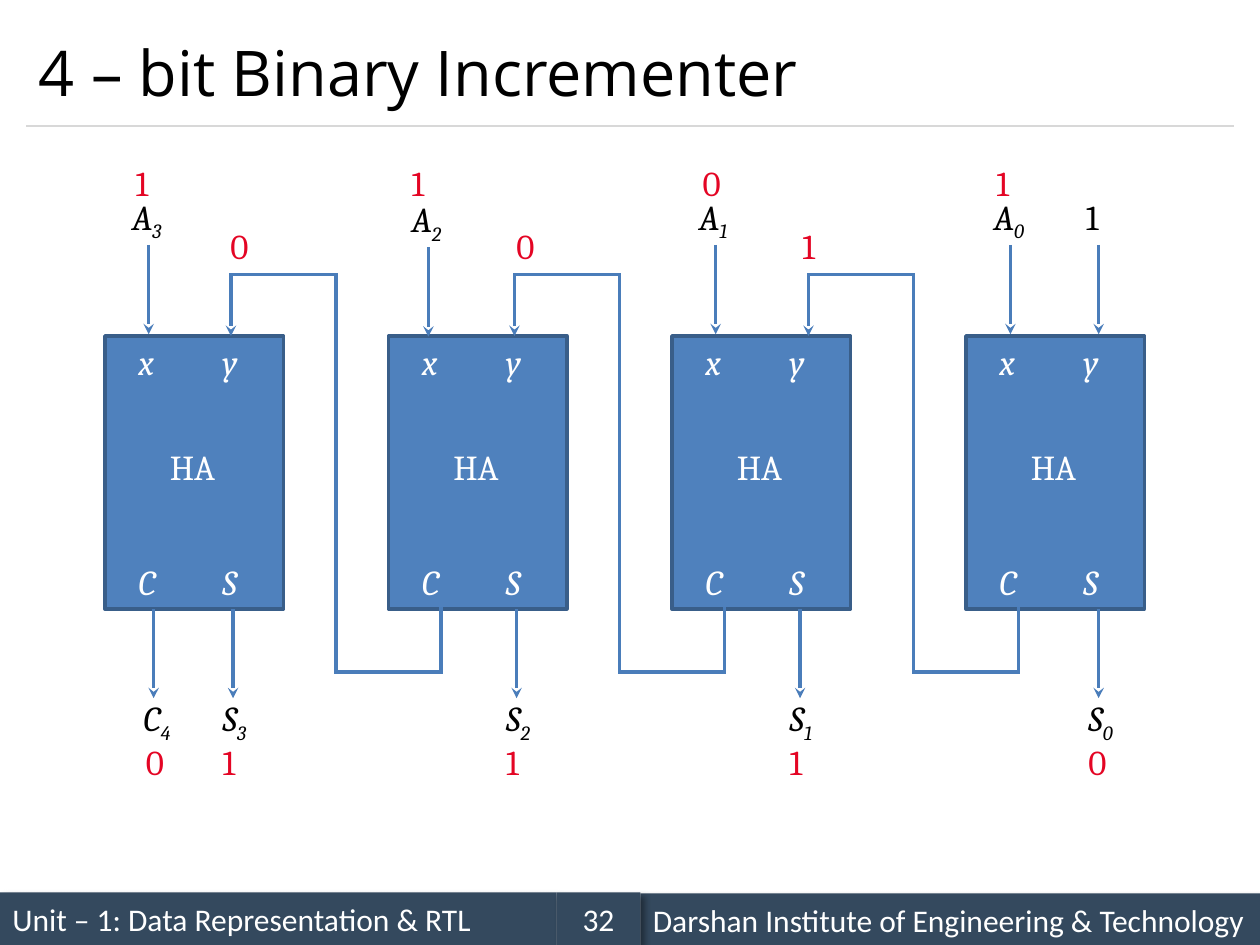
from dataclasses import dataclass
from itertools import pairwise

from lxml import etree
from pptx import Presentation
from pptx.dml.color import RGBColor
from pptx.enum.shapes import MSO_CONNECTOR, MSO_SHAPE
from pptx.enum.text import MSO_ANCHOR, PP_ALIGN
from pptx.oxml import parse_xml
from pptx.oxml.ns import nsdecls, qn
from pptx.util import Pt

STRAIGHT = MSO_CONNECTOR.STRAIGHT
RECTANGLE = MSO_SHAPE.RECTANGLE
MIDDLE = MSO_ANCHOR.MIDDLE
LEFT, CENTER = PP_ALIGN.LEFT, PP_ALIGN.CENTER


@dataclass(frozen=True)
class Theme:
    black: str = "000000"
    white: str = "FFFFFF"
    value: str = "E40524"
    block: str = "4F81BD"
    border: str = "395E89"
    wire: str = "4A7DBA"
    rule: str = "D8D8D8"
    footer: str = "34495E"
    title_font: str = "Open Sans"
    footer_font: str = "Calibri"
    diagram_font: str = "Cambria"
    title_size: int = 36
    footer_size: int = 18
    diagram_size: int = 20


THEME = Theme()

TITLE = "4 – bit Binary Incrementer"

# text, left, top, width, alignment
FOOTERS = [
    ("Unit – 1: Data Representation & RTL", 0, 510, 318, LEFT),
    ("Darshan Institute of Engineering & Technology", 366, 510.5, 354, LEFT),
    ("32", 318, 510, 48, CENTER),
]

# One half adder per bit. The x positions count from the left edge of its block.
STAGES = [
    dict(bit="3", left=60, input="1", sum="1", input_x=25, input_drop=0,
         digit_x=10.5, sum_x=73.2),
    dict(bit="2", left=222, input="1", sum="1", input_x=22.8, input_drop=1.4,
         digit_x=6.2, sum_x=73.2),
    dict(bit="1", left=384, input="0", sum="1", input_x=25, input_drop=0,
         digit_x=10.5, sum_x=73.2),
    dict(bit="0", left=552, input="1", sum="0", input_x=25.4, input_drop=0,
         digit_x=10.3, sum_x=75.8),
]

# Carry out of each block but the first: value, left edge of its digit
CARRIES = [("0", 124.6), ("0", 288), ("1", 451.4)]

# text, x within the block, top, italic
PORTS = [
    ("x", 12, 190.8, True), ("y", 60, 190.8, True),
    ("C", 12, 316.8, True), ("S", 60, 316.8, True),
    ("HA", 30, 251.3, False),
]

BLOCK_TOP, BLOCK_WIDTH, BLOCK_HEIGHT = 192, 102, 156
BLOCK_BOTTOM = BLOCK_TOP + BLOCK_HEIGHT
ARROW_LENGTH = 51
INPUT_TOP = 140
INPUT_LABEL_TOP, INPUT_DIGIT_TOP, CARRY_DIGIT_TOP = 108, 88.6, 124.6
OUTPUT_LABEL_TOP, OUTPUT_DIGIT_TOP = 394.6, 419.8
CARRY_LOW, CARRY_HIGH = 384, 157
LABEL_HEIGHT = 31.7


def color(value):
    return RGBColor.from_string(value)


def add_run(paragraph, text, font, size, fill, italic=False):
    run = paragraph.add_run()
    run.text = text
    run.font.name = font
    run.font.size = Pt(size)
    run.font.italic = italic
    run.font.color.rgb = color(fill)
    return run


def add_rectangle(shapes, left, top, width, height, fill, border=None):
    shape = shapes.add_shape(RECTANGLE, Pt(left), Pt(top), Pt(width), Pt(height))
    shape.shadow.inherit = False
    shape.fill.solid()
    shape.fill.fore_color.rgb = color(fill)
    if border:
        shape.line.color.rgb = color(border)
        shape.line.width = Pt(2)
    else:
        shape.line.fill.background()
    return shape


def add_label(shapes, text, left, top, width=28, fill=THEME.black,
              italic=False, subscript=""):
    box = shapes.add_textbox(Pt(left), Pt(top), Pt(width), Pt(LABEL_HEIGHT))
    box.text_frame.word_wrap = False
    paragraph = box.text_frame.paragraphs[0]
    style = (THEME.diagram_font, THEME.diagram_size, fill, italic)
    add_run(paragraph, text, *style)
    if subscript:
        run = add_run(paragraph, subscript, *style)
        run.font._element.set("baseline", "-25000")


def add_line(shapes, start, end, fill=THEME.wire, width=2, arrow=False):
    """Draw a line; plain ones get square caps so that wire corners close."""
    points = [Pt(value) for value in (*start, *end)]
    line = shapes.add_connector(STRAIGHT, *points)
    line.line.color.rgb = color(fill)
    line.line.width = Pt(width)
    outline = line.line._get_or_add_ln()
    if arrow:
        etree.SubElement(outline, qn("a:tailEnd"), type="stealth")
    else:
        outline.set("cap", "sq")
    etree.SubElement(line._element.spPr, qn("a:effectLst"))


def add_down_arrow(shapes, x, top):
    add_line(shapes, (x, top), (x, top + ARROW_LENGTH), arrow=True)


def add_footer(shapes, text, left, top, width, alignment):
    bar = add_rectangle(shapes, left, top, width, 30, THEME.footer)
    bar._element.spPr.remove(bar._element.spPr.find(qn("a:effectLst")))
    bar._element.spPr.append(parse_xml(
        f'<a:effectLst {nsdecls("a")}><a:outerShdw blurRad="{Pt(4)}" '
        f'dist="{Pt(3)}" dir="2700000" algn="tl" rotWithShape="0">'
        f'<a:srgbClr val="{THEME.black}"><a:alpha val="40000"/></a:srgbClr>'
        '</a:outerShdw></a:effectLst>'))
    bar.text_frame.vertical_anchor = MIDDLE
    paragraph = bar.text_frame.paragraphs[0]
    paragraph.alignment = alignment
    add_run(paragraph, text, THEME.footer_font, THEME.footer_size, THEME.white)


def add_title(slide):
    title = slide.shapes.title
    title.left, title.top, title.width, title.height = Pt(15), Pt(9), Pt(690), Pt(63)
    title.text_frame.vertical_anchor = MIDDLE
    paragraph = title.text_frame.paragraphs[0]
    paragraph.alignment = LEFT
    add_run(paragraph, TITLE, THEME.title_font, THEME.title_size, THEME.black)


def add_half_adder(slide, left):
    shapes = slide.shapes.add_group_shape().shapes
    add_rectangle(shapes, left, BLOCK_TOP, BLOCK_WIDTH, BLOCK_HEIGHT,
                  THEME.block, THEME.border)
    for text, x, top, italic in PORTS:
        add_label(shapes, text, left + x, top, 41 if text == "HA" else 25,
                  THEME.white, italic)


def add_output(shapes, name, bit, value, x, digit_x):
    add_down_arrow(shapes, x, BLOCK_BOTTOM)
    add_label(shapes, name, x - 13, OUTPUT_LABEL_TOP, 33, italic=True, subscript=bit)
    add_label(shapes, value, digit_x, OUTPUT_DIGIT_TOP, fill=THEME.value)


def add_stage(slide, stage):
    shapes, left, drop = slide.shapes, stage["left"], stage["input_drop"]
    add_half_adder(slide, left)
    input_x, sum_x = left + stage["input_x"], left + stage["sum_x"]
    add_down_arrow(shapes, input_x, INPUT_TOP + drop)
    add_label(shapes, "A", input_x - 16.6, INPUT_LABEL_TOP + drop, 33,
              italic=True, subscript=stage["bit"])
    add_label(shapes, stage["input"], left + stage["digit_x"], INPUT_DIGIT_TOP,
              fill=THEME.value)
    add_output(shapes, "S", stage["bit"], stage["sum"], sum_x, sum_x - 13)


def add_carry(slide, source_left, value, digit_x):
    """Lead C of one block up and over to y of the block on its left."""
    shapes = slide.shapes.add_group_shape().shapes
    start_x, channel_x, end_x = source_left + 30, source_left - 30, source_left - 90
    route = [(start_x, BLOCK_BOTTOM), (start_x, CARRY_LOW), (channel_x, CARRY_LOW),
             (channel_x, CARRY_HIGH), (end_x, CARRY_HIGH), (end_x, BLOCK_TOP)]
    for start, end in pairwise(route):
        add_line(shapes, start, end, arrow=end == route[-1])
    add_label(slide.shapes, value, digit_x, CARRY_DIGIT_TOP, fill=THEME.value)


def main():
    presentation = Presentation()
    presentation.slide_width, presentation.slide_height = Pt(720), Pt(540)
    slide = presentation.slides.add_slide(presentation.slide_layouts[5])
    shapes = slide.shapes

    for footer in FOOTERS:
        add_footer(shapes, *footer)
    add_line(shapes, (15, 72), (705, 72), THEME.rule, 0.75)
    add_title(slide)

    for stage in STAGES:
        add_stage(slide, stage)
    for stage, (value, digit_x) in zip(STAGES[1:], CARRIES):
        add_carry(slide, stage["left"], value, digit_x)

    increment_x = STAGES[-1]["left"] + STAGES[-1]["sum_x"]
    add_down_arrow(shapes, increment_x, INPUT_TOP)
    add_label(shapes, "1", increment_x - 14.4, INPUT_LABEL_TOP)
    add_output(shapes, "C", "4", "0", 87.8, 76.3)

    presentation.save("out.pptx")


if __name__ == "__main__":
    main()
